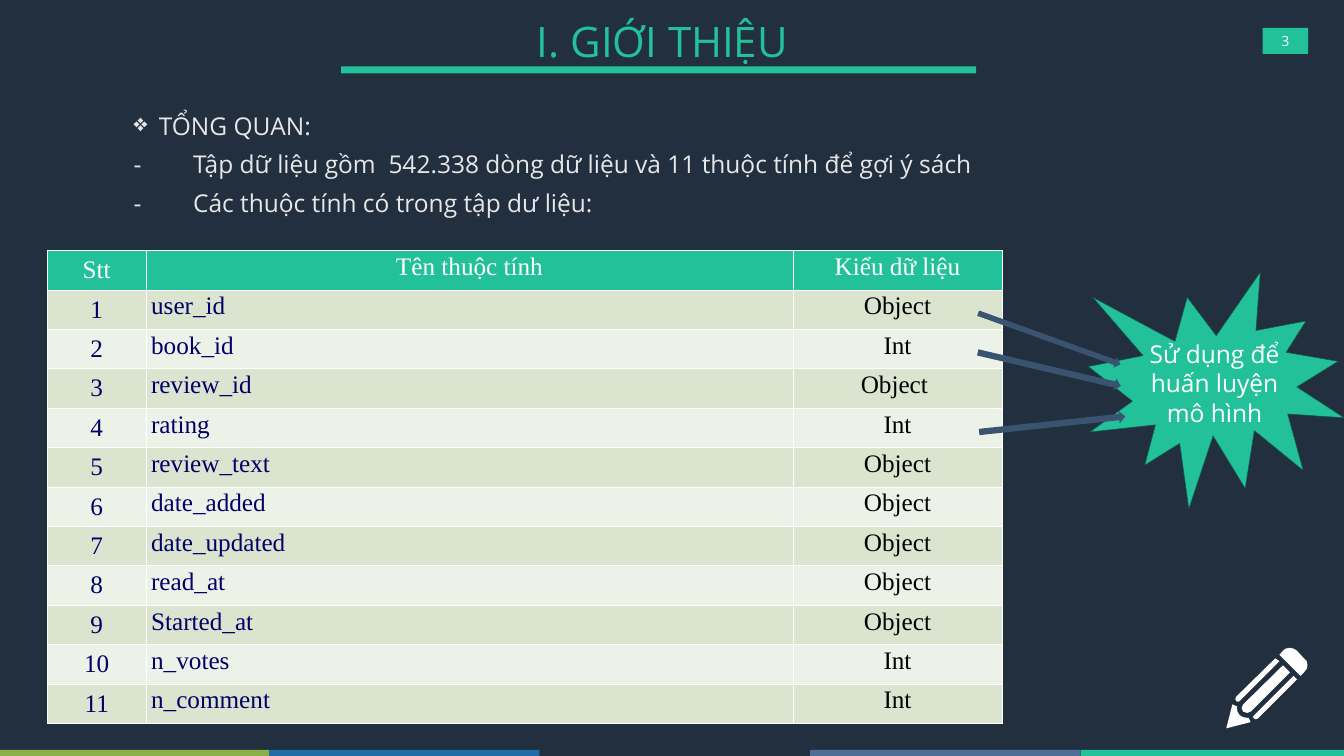
from dataclasses import dataclass

from lxml import etree
from pptx import Presentation
from pptx.dml.color import RGBColor
from pptx.enum.shapes import MSO_SHAPE
from pptx.enum.text import MSO_ANCHOR, PP_ALIGN
from pptx.oxml.ns import qn
from pptx.util import Pt

RECTANGLE = MSO_SHAPE.RECTANGLE
ARROW = MSO_SHAPE.RIGHT_ARROW
BURST = MSO_SHAPE.EXPLOSION1
LEFT, CENTER = PP_ALIGN.LEFT, PP_ALIGN.CENTER
TOP, MIDDLE = MSO_ANCHOR.TOP, MSO_ANCHOR.MIDDLE

SANS, SERIF = "Open Sans", "Times New Roman"
NAVY, GREEN, WHITE, PALE = "212F3F", "22C199", "FFFFFF", "E7E7E7"
SLATE, INK, BLACK = "3A5370", "000066", "000000"
BANDS = ("DAE4CF", "EDF2E9")


@dataclass
class Box:
    left: float
    top: float
    width: float
    height: float
    turn: float = 0

    def lengths(self):
        return Pt(self.left), Pt(self.top), Pt(self.width), Pt(self.height)


@dataclass
class Style:
    font: str
    size: float
    colour: str
    align: PP_ALIGN = LEFT


@dataclass
class Attribute:
    name: str
    kind: str


STRIPES = ("8AB147", "216BA9", NAVY, "4D6F96", GREEN)
HEADINGS = ("Stt", "Tên thuộc tính", "Kiểu dữ liệu")
COLUMN_WIDTHS = (141, 924, 299)
ROW_HEIGHT = 56.3
ATTRIBUTES = [
    Attribute("user_id", "Object"),
    Attribute("book_id", "Int"),
    Attribute("review_id", "Object "),
    Attribute("rating", "Int"),
    Attribute("review_text", "Object"),
    Attribute("date_added", "Object"),
    Attribute("date_updated", "Object"),
    Attribute("read_at", "Object"),
    Attribute("Started_at", "Object"),
    Attribute("n_votes", "Int"),
    Attribute("n_comment", "Int"),
]
ARROWS = [
    Box(1391, 476, 216, 16, 19.8),
    Box(1394, 518.4, 210, 18, 13.2),
    Box(1398.2, 597, 210, 18, 353.9),
]
# Pencil outlines, in points from the icon's top left corner
PENCIL_ORIGIN = (1751.8, 924.5)
PENCIL = [
    # eraser
    [(111, 36), (106, 41), (75.6, 10.8), (80.6, 5), (85, 1.8), (90.7, 0.6),
     (96, 1.8), (100.8, 5), (111, 15.8), (115, 20.5), (116.5, 26), (115, 31)],
    # three strips of the barrel
    [(39.6, 97.2), (38.5, 99.7), (39.6, 102.2), (42, 103), (44.6, 102.2),
     (100.8, 46), (95.8, 41)],
    [(14.4, 71.3), (12.8, 74), (14.4, 77), (17, 78), (19.4, 77),
     (75.6, 20.2), (69.8, 15.8)],
    [(80.6, 26), (24.5, 82), (22.3, 87), (24.5, 92.2), (29.5, 94.2),
     (34.6, 92.2), (90.7, 36)],
    # tip
    [(34.6, 107.3), (31.7, 100.8), (29.5, 100.8), (24, 100), (19.4, 97.2),
     (16.2, 92.5), (15.1, 86.4), (15.8, 85), (9.4, 82), (8.6, 81.4),
     (0, 116)],
]


def colour(code: str) -> RGBColor:
    return RGBColor.from_string(code)


def format_frame(frame, style: Style) -> None:
    for para in frame.paragraphs:
        para.alignment = style.align
        for span in para.runs:
            span.font.name = style.font
            span.font.size = Pt(style.size)
            span.font.bold = False
            span.font.color.rgb = colour(style.colour)


def paint(shape, fill: str) -> None:
    shape.shadow.inherit = False
    shape.fill.solid()
    shape.fill.fore_color.rgb = colour(fill)
    shape.line.fill.background()


def add_block(page, kind: MSO_SHAPE, box: Box, fill: str):
    shape = page.shapes.add_shape(kind, *box.lengths())
    shape.rotation = box.turn
    paint(shape, fill)
    return shape


def write_block(shape, text: str, style: Style) -> None:
    shape.text_frame.text = text
    shape.text_frame.word_wrap = True
    shape.text_frame.vertical_anchor = MIDDLE
    format_frame(shape.text_frame, style)


def add_text(page, box: Box, text: str, style: Style, anchor: MSO_ANCHOR = TOP):
    frame = page.shapes.add_textbox(*box.lengths()).text_frame
    frame.word_wrap = True
    frame.vertical_anchor = anchor
    frame.margin_left = frame.margin_right = Pt(17.28)
    frame.margin_top = frame.margin_bottom = Pt(8.64)
    frame.text = text
    format_frame(frame, style)
    return frame


def fill_cell(cell, text: str, fill: str, style: Style, anchor: MSO_ANCHOR) -> None:
    cell.text = text
    cell.vertical_anchor = anchor
    format_frame(cell.text_frame, style)
    properties = cell._tc.get_or_add_tcPr()
    for side in ("a:lnL", "a:lnR", "a:lnT", "a:lnB"):
        border = etree.SubElement(properties, qn(side), w=str(Pt(1)))
        solid = etree.SubElement(border, qn("a:solidFill"))
        etree.SubElement(solid, qn("a:srgbClr"), val=WHITE)
    cell.fill.solid()
    cell.fill.fore_color.rgb = colour(fill)


def add_attribute_table(page) -> None:
    rows = [HEADINGS] + [
        (str(number), item.name, item.kind)
        for number, item in enumerate(ATTRIBUTES, 1)
    ]
    box = Box(67.7, 357.8, sum(COLUMN_WIDTHS), ROW_HEIGHT * len(rows))
    table = page.shapes.add_table(len(rows), len(HEADINGS), *box.lengths()).table
    for column, width in zip(table.columns, COLUMN_WIDTHS):
        column.width = Pt(width)
    for r, texts in enumerate(rows):
        table.rows[r].height = Pt(ROW_HEIGHT)
        fill = BANDS[(r - 1) % 2] if r else GREEN
        for c, text in enumerate(texts):
            ink = (INK, INK, BLACK)[c] if r else WHITE
            align = LEFT if r and c == 1 else CENTER
            style = Style(SERIF, 36, ink, align)
            fill_cell(table.cell(r, c), text, fill, style, TOP if c else MIDDLE)


def add_overview(page) -> None:
    lines = (
        "TỔNG QUAN:",
        "-\tTập dữ liệu gồm  542.338 dòng dữ liệu và 11 thuộc tính để gợi ý sách",
        "-\tCác thuộc tính có trong tập dư liệu:",
    )
    frame = add_text(page, Box(173.5, 137.5, 1344, 219.6), "\n".join(lines),
                     Style(SANS, 35, PALE))
    for para in frame.paragraphs:
        para.line_spacing = 1.3
    heading, *details = [para._p.get_or_add_pPr() for para in frame.paragraphs]
    heading.set("marL", str(Pt(36)))
    heading.set("indent", str(Pt(-36)))
    etree.SubElement(heading, qn("a:buChar"), char="❖")
    for properties in details:
        stops = etree.SubElement(properties, qn("a:tabLst"))
        etree.SubElement(stops, qn("a:tab"), pos=str(Pt(85)), algn="l")


def add_pencil(page) -> None:
    builder = page.shapes.build_freeform(*PENCIL[0][0], scale=float(Pt(1)))
    for number, outline in enumerate(PENCIL):
        if number:
            builder.move_to(*outline[0])
        builder.add_line_segments(outline[1:], close=True)
    left, top = PENCIL_ORIGIN
    paint(builder.convert_to_shape(Pt(left), Pt(top)), WHITE)


def main() -> None:
    deck = Presentation()
    deck.slide_width, deck.slide_height = Pt(1920), Pt(1080)
    page = deck.slides.add_slide(deck.slide_layouts[6])
    page.background.fill.solid()
    page.background.fill.fore_color.rgb = colour(NAVY)

    # Footer stripes and page number
    for number, stripe in enumerate(STRIPES):
        add_block(page, RECTANGLE, Box(-2 + 386.4 * number, 1071.4, 386.4, 14.4), stripe)
    badge = add_block(page, RECTANGLE, Box(1803.6, 40, 65, 37), GREEN)
    badge.text_frame.margin_top = badge.text_frame.margin_bottom = 0
    write_block(badge, "3", Style(SANS, 20, WHITE, CENTER))

    # Overview, pencil and table
    add_overview(page)
    add_pencil(page)
    add_attribute_table(page)

    # Title and its rule
    add_text(page, Box(749.5, 11.5, 1170, 93.6), "I. GIỚI THIỆU",
             Style(SANS, 60, GREEN), MIDDLE)
    add_block(page, RECTANGLE, Box(487.4, 95, 907, 10), GREEN)

    # Burst with the arrows from the training attributes
    burst = add_block(page, BURST, Box(1555, 389, 365, 337.7), GREEN)
    burst.line.color.rgb = colour("11614C")
    burst.line.width = Pt(0.75)
    write_block(burst, "Sử dụng để huấn luyện mô hình", Style(SANS, 35, WHITE, CENTER))
    for arrow in ARROWS:
        add_block(page, ARROW, arrow, SLATE)

    deck.save("out.pptx")


if __name__ == "__main__":
    main()
